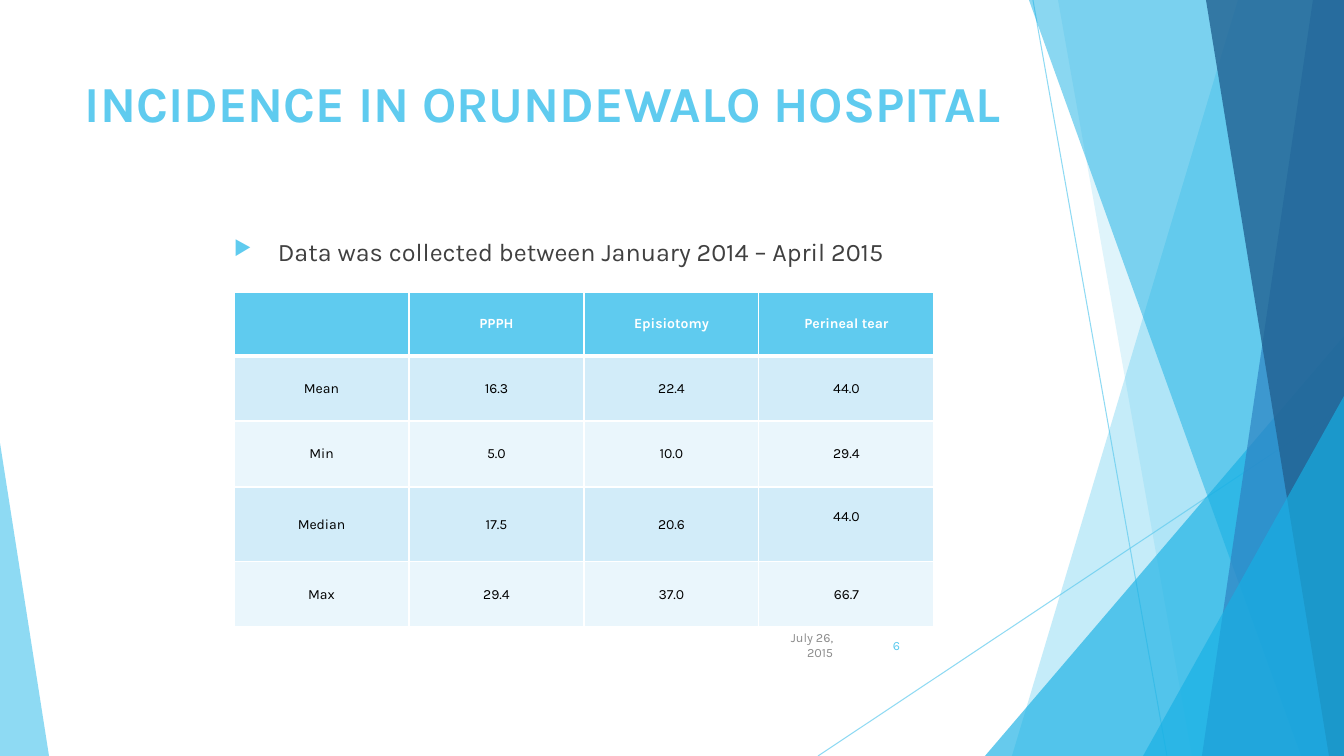
from dataclasses import dataclass

from lxml import etree
from pptx import Presentation
from pptx import util as u
from pptx.dml.color import RGBColor
from pptx.enum import shapes, text
from pptx.oxml import ns

WIDTH, HEIGHT = 1344, 756
SCALE = 12192000 / WIDTH
FONT = "Karla"

SKY = RGBColor(0x5F, 0xCB, 0xEF)
CYAN = RGBColor(0x17, 0xB0, 0xE4)
BLUE = RGBColor(0x2E, 0x83, 0xC3)
NAVY = RGBColor(0x22, 0x62, 0x92)
WHITE = RGBColor(0xFF, 0xFF, 0xFF)
BLACK = RGBColor(0x00, 0x00, 0x00)
CHARCOAL = RGBColor(0x40, 0x40, 0x40)
GREY = RGBColor(0x8C, 0x8C, 0x8C)
BAND_DARK = RGBColor(0xD2, 0xEC, 0xF9)
BAND_LIGHT = RGBColor(0xEA, 0xF6, 0xFC)


@dataclass(frozen=True)
class Ray:
    start: tuple[int, int]
    end: tuple[int, int]


@dataclass(frozen=True)
class Facet:
    top_x: int
    bottom_x: int
    color: RGBColor
    opacity: int


@dataclass(frozen=True)
class Wedge:
    left: int
    top: int
    width: int
    apex: int
    color: RGBColor
    opacity: int


@dataclass(frozen=True)
class Label:
    box: tuple[int, int, int, int]
    words: str
    size: int
    color: RGBColor
    bold: bool = False
    align: text.PP_ALIGN = text.PP_ALIGN.LEFT
    anchor: text.MSO_ANCHOR = text.MSO_ANCHOR.TOP
    bulleted: bool = False


RAYS = [Ray((1033, 0), (1167, HEIGHT)), Ray((WIDTH, 406), (818, HEIGHT))]
DECORATIONS = [
    Facet(1238, 1012, SKY, 36),
    Facet(1058, 1192, SKY, 20),
    Wedge(985, 336, 359, 1, CYAN, 66),
    Facet(1029, 1301, CYAN, 50),
    Facet(1313, 1202, BLUE, 70),
    Facet(1206, 1329, NAVY, 80),
    Wedge(1143, 396, 201, 1, CYAN, 66),
    Wedge(0, 443, 49, 0, SKY, 70),
]
FOOTER = {"align": text.PP_ALIGN.RIGHT, "anchor": text.MSO_ANCHOR.MIDDLE}
LABELS = [
    Label((75, 67, 948, 145), "INCIDENCE IN ORUNDEWALO HOSPITAL", 36, SKY, bold=True),
    Label((224, 231, 711, 363), " Data was collected between January 2014 – April 2015",
          18, CHARCOAL, bulleted=True),
    Label((767, 630, 76, 30), "July 26, 2015", 9, GREY, **FOOTER),
    Label((854, 630, 56, 30), "6", 9, SKY, **FOOTER),
]
TABLE_LEFT, TABLE_TOP, COLUMN_WIDTH = 234, 292, 175
ROW_HEIGHTS = [64, 65, 66, 75, 65]
ROWS = [
    ["", "PPPH", "Episiotomy", "Perineal tear"],
    ["Mean", "16.3", "22.4", "44.0"],
    ["Min", "5.0", "10.0", "29.4"],
    ["Median", "17.5", "20.6", "44.0"],
    ["Max", "29.4", "37.0", "66.7"],
]
RAISED_CELL = (3, 3)
CELL_FORMAT = {"margin_left": 7, "margin_right": 7, "margin_top": 4, "margin_bottom": 4}


def px(length: int) -> u.Emu:
    return u.Emu(round(length * SCALE))


def set_opacity(element, opacity: int) -> None:
    color = next(element.iter(ns.qn("a:srgbClr")))
    etree.SubElement(color, ns.qn("a:alpha"), val=str(opacity * 1000))


def draw_ray(slide, ray: Ray) -> None:
    connector = slide.shapes.add_connector(
        shapes.MSO_CONNECTOR.STRAIGHT, *map(px, ray.start + ray.end))
    connector.line.color.rgb = SKY
    connector.line.width = u.Pt(0.75)
    properties = connector._element.spPr
    set_opacity(properties, 70)
    etree.SubElement(properties, ns.qn("a:effectLst"))


def draw_decoration(slide, item: Facet | Wedge) -> None:
    if isinstance(item, Facet):
        builder = slide.shapes.build_freeform(item.top_x, 0, SCALE)
        builder.add_line_segments([(WIDTH, 0), (WIDTH, HEIGHT), (item.bottom_x, HEIGHT)])
        shape = builder.convert_to_shape()
    else:
        box = (item.left, item.top, item.width, HEIGHT - item.top)
        shape = slide.shapes.add_shape(
            shapes.MSO_SHAPE.ISOSCELES_TRIANGLE, *map(px, box))
        shape.adjustments[0] = item.apex
    shape.shadow.inherit = False
    shape.fill.solid()
    shape.fill.fore_color.rgb = item.color
    set_opacity(shape._element.spPr, item.opacity)
    shape.line.fill.background()


def write(paragraph, words: str, size: int, color: RGBColor, bold: bool) -> None:
    run = paragraph.add_run()
    run.text = words
    for name, value in {"name": FONT, "size": u.Pt(size), "bold": bold}.items():
        setattr(run.font, name, value)
    run.font.color.rgb = color


def add_bullet(paragraph) -> None:
    paragraph.space_before = u.Pt(10)
    properties = paragraph._p.get_or_add_pPr()
    properties.set("marL", str(px(38)))
    properties.set("indent", str(-px(38)))
    color = etree.SubElement(properties, ns.qn("a:buClr"))
    etree.SubElement(color, ns.qn("a:srgbClr"), val=str(SKY))
    etree.SubElement(properties, ns.qn("a:buSzPct"), val="80000")
    etree.SubElement(properties, ns.qn("a:buChar"), char="▶")


def draw_label(slide, label: Label) -> None:
    frame = slide.shapes.add_textbox(*map(px, label.box)).text_frame
    frame.word_wrap = True
    frame.vertical_anchor = label.anchor
    paragraph = frame.paragraphs[0]
    paragraph.alignment = label.align
    if label.bulleted:
        add_bullet(paragraph)
    write(paragraph, label.words, label.size, label.color, label.bold)


def add_borders(cell, row: int) -> None:
    widths = {"L": 1, "R": 1, "T": 3 if row == 1 else 1, "B": 3 if row == 0 else 1}
    properties = cell._tc.get_or_add_tcPr()
    for position, (side, width) in enumerate(widths.items()):
        border = etree.Element(ns.qn(f"a:ln{side}"), w=str(u.Pt(width)))
        fill = etree.SubElement(border, ns.qn("a:solidFill"))
        etree.SubElement(fill, ns.qn("a:srgbClr"), val=str(WHITE))
        properties.insert(position, border)


def draw_cell(cell, row: int, column: int, words: str) -> None:
    for name, value in CELL_FORMAT.items():
        setattr(cell, name, px(value))
    if (row, column) == RAISED_CELL:
        cell.margin_bottom = px(20)
    cell.vertical_anchor = text.MSO_ANCHOR.MIDDLE
    cell.fill.solid()
    band = BAND_DARK if row % 2 else BAND_LIGHT
    cell.fill.fore_color.rgb = band if row else SKY
    add_borders(cell, row)
    if words:
        paragraph = cell.text_frame.paragraphs[0]
        paragraph.alignment = text.PP_ALIGN.CENTER
        write(paragraph, words, 10, BLACK if row else WHITE, row == 0)


def draw_table(slide) -> None:
    columns = len(ROWS[0])
    box = (TABLE_LEFT, TABLE_TOP, columns * COLUMN_WIDTH, sum(ROW_HEIGHTS))
    table = slide.shapes.add_table(len(ROWS), columns, *map(px, box)).table
    for column in table.columns:
        column.width = px(COLUMN_WIDTH)
    for row, (height, values) in enumerate(zip(ROW_HEIGHTS, ROWS)):
        table.rows[row].height = px(height)
        for column, words in enumerate(values):
            draw_cell(table.cell(row, column), row, column, words)


def main() -> None:
    presentation = Presentation()
    presentation.slide_width, presentation.slide_height = px(WIDTH), px(HEIGHT)
    slide = presentation.slides.add_slide(presentation.slide_layouts[6])
    for ray in RAYS:
        draw_ray(slide, ray)
    for item in DECORATIONS:
        draw_decoration(slide, item)
    for label in LABELS:
        draw_label(slide, label)
    draw_table(slide)
    presentation.save("out.pptx")


if __name__ == "__main__":
    main()
